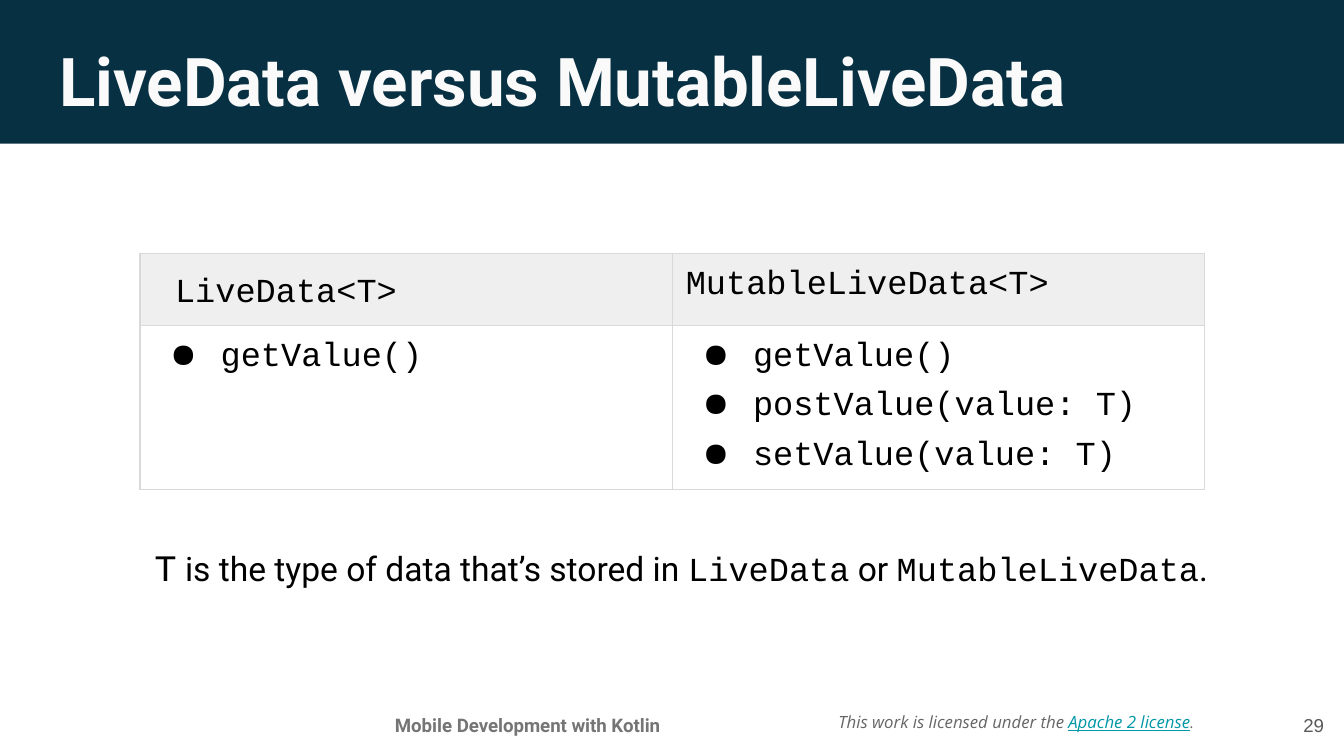
"""Build the LiveData versus MutableLiveData comparison slide."""
from lxml.etree import SubElement
from pptx import Presentation
from pptx.dml.color import RGBColor
from pptx.enum.shapes import MSO_SHAPE
from pptx.enum.text import MSO_ANCHOR, MSO_AUTO_SIZE, PP_ALIGN
from pptx.oxml.ns import qn
from pptx.util import Pt

THEME = {
    "sans": "Roboto", "mono": "Courier New", "license": "Open Sans", "number": "Arial",
    "banner": "073042", "title": "FAFAFA", "text": "000000", "header": "EFEFEF",
    "border": "D9D9D9", "footer": "757575", "muted": "666666", "link": "0097A7",
    "page": "595959",
    "title_pt": 36, "body_pt": 18, "type_pt": 20, "footer_pt": 10, "license_pt": 9,
}
TITLE = "LiveData versus MutableLiveData"
COLUMNS = [
    ("LiveData<T>", ["getValue()"]),
    ("MutableLiveData<T>", ["getValue()", "postValue(value: T)", "setValue(value: T)"]),
]
NOTE = [
    ("T", "mono", "type_pt"),
    (" is the type of data that’s stored in ", "sans", "body_pt"),
    ("LiveData", "mono", "body_pt"),
    (" or ", "sans", "body_pt"),
    ("MutableLiveData", "mono", "body_pt"),
    (".", "sans", "body_pt"),
]
LICENSE = [
    ("This work is licensed under the ", "license", "muted", False),
    ("Apache 2 license", "license", "link", True),
    (".", "sans", "muted", False),
]
FOOTER = "Mobile Development with Kotlin"
PAGE = "29"
INSET = 7.2
TABLE_BOX = (75, 135.6, 570.4, 126.5)
ROW_HEIGHTS = (38.6, 87.9)
HEADER_MARGINS = [(18.8, 11.5, 4), (INSET, INSET, INSET)]


def style(r, face, size, color, bold=False, italic=False, underline=False):
    """Format one run from theme keys."""
    r.font.name = THEME[face]
    r.font.size = Pt(THEME[size])
    r.font.color.rgb = RGBColor.from_string(THEME[color])
    r.font.bold, r.font.italic, r.font.underline = bold, italic, underline


def set_frame(tf, anchor):
    """Give a text frame the common insets and an anchor."""
    tf.word_wrap = True
    tf.auto_size = MSO_AUTO_SIZE.NONE
    tf.vertical_anchor = anchor
    tf.margin_left = tf.margin_right = tf.margin_top = tf.margin_bottom = Pt(INSET)


def add_text(sld, box, runs, align=PP_ALIGN.LEFT, anchor=MSO_ANCHOR.TOP):
    """Add a one-paragraph text box of (text, style) runs."""
    tf = sld.shapes.add_textbox(*map(Pt, box)).text_frame
    set_frame(tf, anchor)
    p = tf.paragraphs[0]
    p.alignment = align
    for text, fmt in runs:
        r = p.add_run()
        r.text = text
        style(r, **fmt)


def add_bullet(p):
    """Turn a paragraph into a hanging bullet item."""
    pPr = p._p.get_or_add_pPr()
    pPr.set("marL", str(Pt(36)))
    pPr.set("indent", str(-Pt(27)))
    clr = SubElement(pPr, qn("a:buClr"))
    SubElement(clr, qn("a:srgbClr"), val=THEME["text"])
    SubElement(pPr, qn("a:buChar"), char="●")


def add_borders(cell):
    """Draw the four thin borders of a cell."""
    tcPr = cell._tc.get_or_add_tcPr()
    for side in ("lnL", "lnR", "lnT", "lnB"):
        ln = SubElement(tcPr, qn(f"a:{side}"), w=str(Pt(0.75)))
        fill = SubElement(ln, qn("a:solidFill"))
        SubElement(fill, qn("a:srgbClr"), val=THEME["border"])


def fill_cell(cell, lines, margins, header):
    """Write and format the lines of one table cell."""
    left, top, bottom = margins
    cell.margin_left, cell.margin_right = Pt(left), Pt(INSET)
    cell.margin_top, cell.margin_bottom = Pt(top), Pt(bottom)
    add_borders(cell)
    if header:
        cell.fill.solid()
        cell.fill.fore_color.rgb = RGBColor.from_string(THEME["header"])
    else:
        cell.fill.background()
    tf = cell.text_frame
    tf.text = "\n".join(lines)
    for i, p in enumerate(tf.paragraphs):
        if not header:
            add_bullet(p)
            if i:
                p.space_before = Pt(6)
            if i == len(lines) - 1:
                p.space_after = Pt(6)
        style(p.runs[0], "mono", "body_pt", "text")


def add_comparison(sld):
    """Add the two-column class comparison table."""
    tbl = sld.shapes.add_table(2, len(COLUMNS), *map(Pt, TABLE_BOX)).table
    tbl.first_row = tbl.horz_banding = False
    for row, height in zip(tbl.rows, ROW_HEIGHTS):
        row.height = Pt(height)
    for c, (name, methods) in enumerate(COLUMNS):
        tbl.columns[c].width = Pt(TABLE_BOX[2] / len(COLUMNS))
        fill_cell(tbl.cell(0, c), [name], HEADER_MARGINS[c], True)
        fill_cell(tbl.cell(1, c), methods, (INSET,) * 3, False)


def add_title(sld):
    """Add the banner and place the title on it."""
    sp = sld.shapes.add_shape(MSO_SHAPE.RECTANGLE, *map(Pt, (-0.5, -3, 721, 80)))
    sp.shadow.inherit = False
    sp.fill.solid()
    sp.fill.fore_color.rgb = RGBColor.from_string(THEME["banner"])
    sp.line.fill.background()
    title = sld.shapes.title
    sp._element.addnext(title._element)
    title.left, title.top, title.width, title.height = map(Pt, (24.5, 13.7, 671, 45.4))
    tf = title.text_frame
    tf.text = TITLE
    set_frame(tf, MSO_ANCHOR.TOP)
    p = tf.paragraphs[0]
    p.alignment = PP_ALIGN.LEFT
    style(p.runs[0], "sans", "title_pt", "title", bold=True)


def main():
    """Assemble and save the slide."""
    prs = Presentation()
    prs.slide_width, prs.slide_height = Pt(720), Pt(405)
    sld = prs.slides.add_slide(prs.slide_layouts[5])
    add_title(sld)
    add_comparison(sld)
    note = [(t, dict(face=f, size=s, color="text")) for t, f, s in NOTE]
    add_text(sld, (75.6, 284.4, 591, 36.7), note)
    terms = [(t, dict(face=f, size="license_pt", color=c, italic=True, underline=u))
             for t, f, c, u in LICENSE]
    add_text(sld, (442, 370, 211.7, 33.8), terms, anchor=MSO_ANCHOR.MIDDLE)
    footer = dict(face="sans", size="footer_pt", color="footer", bold=True)
    add_text(sld, (180.7, 375, 203.8, 23), [(FOOTER, footer)], PP_ALIGN.CENTER)
    page = dict(face="number", size="footer_pt", color="page")
    add_text(sld, (673.2, 373, 43.2, 31), [(PAGE, page)], PP_ALIGN.RIGHT, MSO_ANCHOR.MIDDLE)
    prs.save("out.pptx")


if __name__ == "__main__":
    main()
